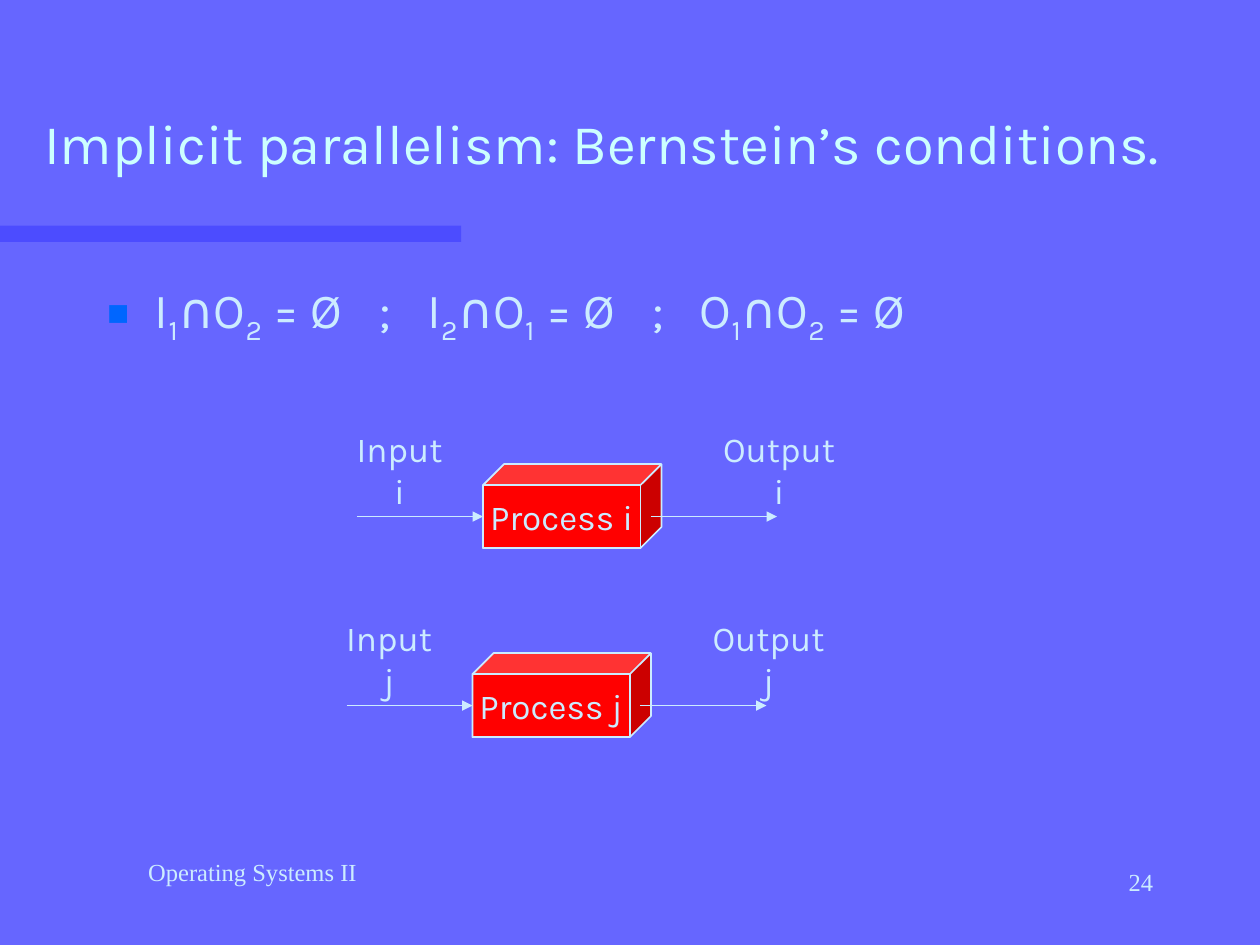
from dataclasses import dataclass
from itertools import groupby

from lxml import etree
from pptx import Presentation
from pptx import util as u
from pptx.dml.color import RGBColor
from pptx.enum import shapes, text
from pptx.oxml.ns import qn

UNIT = 1 / 12  # grid step in inches
TEXT_COLOUR = "CCECFF"
KARLA = {"name": "Karla", "size": u.Pt(20)}
FOOTER = {"name": "Times New Roman", "size": u.Pt(14)}
CENTER, RIGHT, LEFT = text.PP_ALIGN.CENTER, text.PP_ALIGN.RIGHT, text.PP_ALIGN.LEFT


@dataclass
class Box:
    left: float
    top: float
    width: float
    height: float

    def lengths(self) -> list:
        return [u.Inches(n) for n in (self.left, self.top, self.width, self.height)]


@dataclass
class Process:
    name: str
    column: float  # left end of the input arrow, in grid units
    axis: float  # height of both arrows, in inches


PROCESSES = [Process("i", 34, 4.1), Process("j", 33, 5.6)]
CONDITIONS = ["I1∩O2 = Ø", "I2∩O1 = Ø", "O1∩O2 = Ø"]


def colour(value: str) -> RGBColor:
    return RGBColor.from_string(value)


def add_element(parent, tag: str, **attributes):
    return etree.SubElement(parent, qn(tag), attributes)


def add_run(paragraph, words: str, font: dict, value: str = TEXT_COLOUR):
    run = paragraph.add_run()
    run.text = words
    for key, setting in font.items():
        setattr(run.font, key, setting)
    run.font.color.rgb = colour(value)
    return run


def format_frame(shape, wrap: bool, anchor, side: float = 0.1) -> None:
    frame = shape.text_frame
    settings = {
        "auto_size": text.MSO_AUTO_SIZE.NONE, "word_wrap": wrap, "vertical_anchor": anchor,
        "margin_left": u.Inches(side), "margin_right": u.Inches(side),
        "margin_top": u.Inches(0.05), "margin_bottom": u.Inches(0.05),
    }
    for key, setting in settings.items():
        setattr(frame, key, setting)


def write(shape, words: str, font: dict, align, before: float, value: str = TEXT_COLOUR) -> None:
    paragraph = shape.text_frame.paragraphs[0]
    paragraph.alignment = align
    paragraph.space_before = u.Pt(before)
    add_run(paragraph, words, font, value)


def place(shape, box: Box) -> None:
    for key, length in zip(("left", "top", "width", "height"), box.lengths()):
        setattr(shape, key, length)


def add_text(slide, box: Box, words: str, font: dict, align, before: float,
             anchor=text.MSO_ANCHOR.TOP, side: float = 0.1) -> None:
    shape = slide.shapes.add_textbox(*box.lengths())
    format_frame(shape, True, anchor, side)
    write(shape, words, font, align, before)


def add_solid(slide, kind, box: Box, fill: str):
    shape = slide.shapes.add_shape(kind, *box.lengths())
    shape.shadow.inherit = False
    shape.fill.solid()
    shape.fill.fore_color.rgb = colour(fill)
    return shape


def add_arrow(slide, start: float, end: float, axis: float) -> None:
    arrow = slide.shapes.add_connector(
        shapes.MSO_CONNECTOR.STRAIGHT, *(u.Inches(n) for n in (start, axis, end, axis)))
    arrow.line.color.rgb = colour(TEXT_COLOUR)
    arrow.line.width = u.Pt(1)
    add_element(arrow.line._get_or_add_ln(), "a:tailEnd", type="triangle")
    add_element(arrow._element.spPr, "a:effectLst")


def add_process(slide, process: Process) -> None:
    """Draw one cube with its input and output arrows and their labels."""
    def at(step: float) -> float:
        return (process.column + step) * UNIT

    cube = add_solid(slide, shapes.MSO_SHAPE.CUBE,
                     Box(at(12), process.axis - 5 * UNIT, 17 * UNIT, 8 * UNIT), "FF0000")
    cube.adjustments[0] = 0.25
    cube.line.color.rgb = colour(TEXT_COLOUR)
    cube.line.width = u.Pt(1)
    format_frame(cube, False, text.MSO_ANCHOR.MIDDLE)
    write(cube, f"Process {process.name}", KARLA, CENTER, 4)
    for step in (0, 28):
        add_arrow(slide, at(step), at(step + 12), process.axis)
    for label, step, width in (("Input", -2, 1.01), ("Output", 33, 1.2)):
        add_text(slide, Box(at(step), process.axis - 0.59, width, 0.43),
                 f"{label} {process.name}", KARLA, CENTER, 4, text.MSO_ANCHOR.MIDDLE, 0.12)


def write_conditions(shape) -> None:
    """Write the conditions in one bullet, digits as subscripts, wide gaps around semicolons."""
    font = KARLA | {"size": u.Pt(28)}
    paragraph = shape.text_frame.paragraphs[0]
    paragraph.space_before = u.Pt(5.6)
    properties = paragraph._p.get_or_add_pPr()
    properties.set("marL", str(u.Inches(0.38)))
    properties.set("indent", str(u.Inches(-0.38)))
    add_element(add_element(properties, "a:buClr"), "a:srgbClr", val="0066FF")
    add_element(properties, "a:buSzPct", val="75000")
    add_element(properties, "a:buFont", typeface="Arial")
    add_element(properties, "a:buChar", char="■")
    for index, condition in enumerate(CONDITIONS):
        if index:
            for piece in " ; ".partition(";"):
                run = add_run(paragraph, piece, font)
                if piece == " ":
                    run._r.get_or_add_rPr().set("spc", "1400")
        for is_subscript, letters in groupby(condition, str.isdigit):
            run = add_run(paragraph, "".join(letters), font)
            if is_subscript:
                run._r.get_or_add_rPr().set("baseline", "-25000")


def main() -> None:
    presentation = Presentation()
    presentation.slide_width, presentation.slide_height = u.Inches(10), u.Inches(7.5)
    slide = presentation.slides.add_slide(presentation.slide_layouts[1])
    slide.background.fill.solid()
    slide.background.fill.fore_color.rgb = colour("6666FF")

    bar = add_solid(slide, shapes.MSO_SHAPE.RECTANGLE, Box(0, 1.79, 3.66, 0.13), "3333FF")
    bar.line.fill.background()
    add_element(bar._element.spPr.find(".//" + qn("a:srgbClr")), "a:alpha", val="50000")

    title, body = slide.shapes.title, slide.placeholders[1]
    place(title, Box(0.25, 0.5, 9.55, 1.25))
    format_frame(title, True, text.MSO_ANCHOR.MIDDLE)
    write(title, "Implicit parallelism: Bernstein’s conditions.",
          KARLA | {"size": u.Pt(32)}, LEFT, 0, "CCFFFF")
    place(body, Box(0.75, 2.17, 8.5, 0.58))
    format_frame(body, True, text.MSO_ANCHOR.TOP)
    write_conditions(body)

    for process in PROCESSES:
        add_process(slide, process)
    add_text(slide, Box(0.42, 6.75, 3.17, 0.5), "Operating Systems II", FOOTER, CENTER, 7)
    add_text(slide, Box(7.17, 6.83, 2.08, 0.5), "24", FOOTER, RIGHT, 7)
    presentation.save("out.pptx")


if __name__ == "__main__":
    main()
